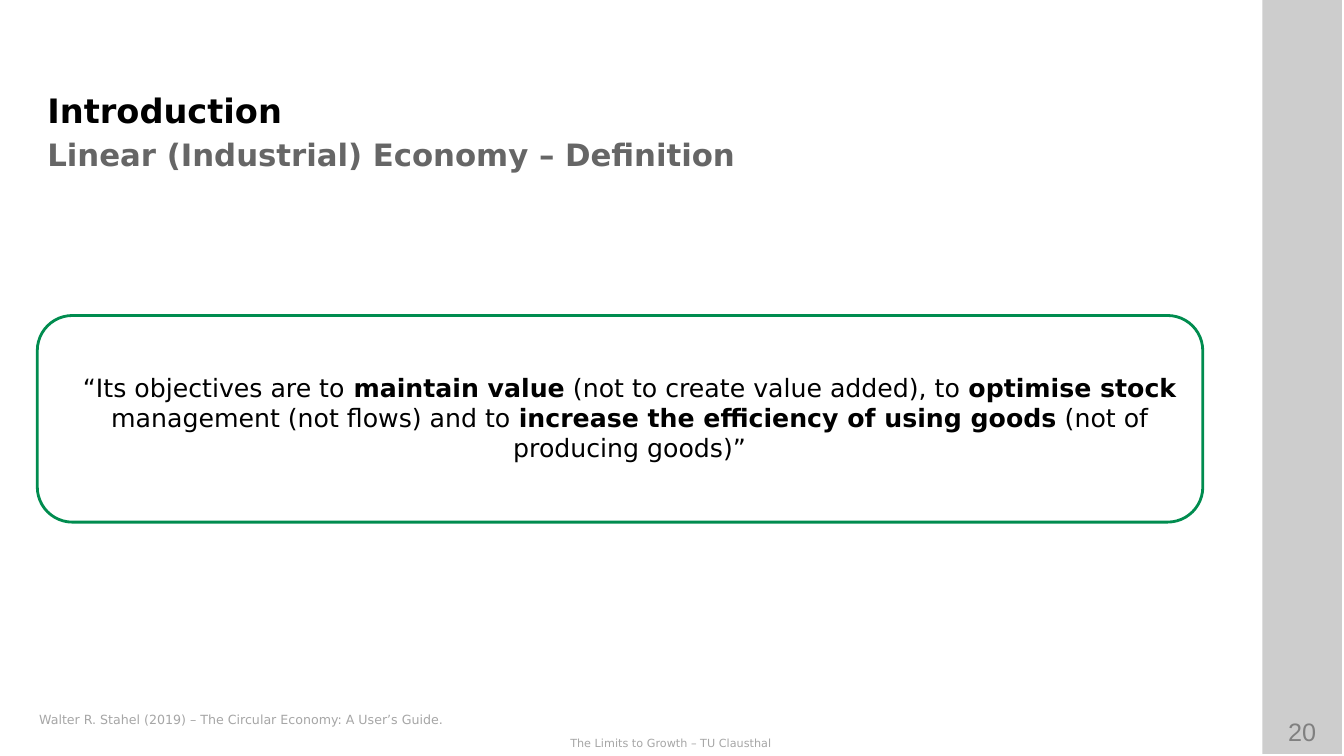
from dataclasses import dataclass

from lxml.etree import SubElement
from pptx import Presentation
from pptx.dml.color import RGBColor
from pptx.enum.shapes import MSO_SHAPE as Preset
from pptx.enum.text import MSO_ANCHOR as Anchor, PP_ALIGN as Align
from pptx.oxml.ns import qn
from pptx.util import Inches, Pt

BLACK = RGBColor(0x00, 0x00, 0x00)
WHITE = RGBColor(0xFF, 0xFF, 0xFF)
GREEN = RGBColor(0x00, 0x8C, 0x4F)
DARK_GREY = RGBColor(0x66, 0x66, 0x66)
MID_GREY = RGBColor(0x80, 0x80, 0x80)
LIGHT_GREY = RGBColor(0xA6, 0xA6, 0xA6)
BODY_FONT = "DejaVu Sans"
BAND_OPACITY = 10


@dataclass(frozen=True)
class Area:
    left: float
    top: float
    width: float
    height: float

    def lengths(self) -> list:
        return [Inches(n) for n in (self.left, self.top, self.width, self.height)]


@dataclass(frozen=True)
class Style:
    size: float
    color: RGBColor
    font: str = BODY_FONT
    bold: bool = False
    align: Align = Align.LEFT
    anchor: Anchor = Anchor.TOP
    inset_x: float = 0.1
    inset_y: float = 0.05


@dataclass(frozen=True)
class Label:
    area: Area
    text: str
    style: Style


TITLE = Label(Area(0.37, 0.84, 11.75, 0.54), "Introduction", Style(24, BLACK, bold=True))
LABELS = [
    Label(Area(12.51, 7.06, 0.81, 0.4), "20",
          Style(18, MID_GREY, font="Arial", align=Align.CENTER)),
    Label(Area(0, 7.26, 13.31, 0.23), "The Limits to Growth – TU Clausthal",
          Style(8, LIGHT_GREY, align=Align.CENTER)),
    Label(Area(0.29, 7.01, 7.07, 0.25),
          "Walter R. Stahel (2019) – The Circular Economy: A User’s Guide.",
          Style(9, LIGHT_GREY)),
    Label(Area(0.47, 1.26, 11.32, 0.53), "Linear (Industrial) Economy – Definition",
          Style(22, DARK_GREY, bold=True, anchor=Anchor.MIDDLE, inset_x=0, inset_y=0)),
]
BAND = Area(12.52, 0, 0.79, 7.48)
QUOTE_AREA = Area(0.37, 1.39, 11.75, 5.5)
QUOTE_STYLE = Style(18, BLACK, align=Align.CENTER, anchor=Anchor.MIDDLE)
QUOTE = [
    ("“Its objectives are to", False),
    (" maintain value", True),
    (" (not to create value added), to ", False),
    ("optimise stock", True),
    (" management (not flows) and to ", False),
    ("increase the efficiency of using goods", True),
    (" (not of producing goods)”", False),
]
FRAME = Area(0.37, 3.13, 11.56, 2.05)


def assign(target, values: dict) -> None:
    for name, value in values.items():
        setattr(target, name, value)


def write(box, spans: list, style: Style) -> None:
    frame = box.text_frame
    assign(frame, {
        "word_wrap": True,
        "vertical_anchor": style.anchor,
        "margin_left": Inches(style.inset_x),
        "margin_right": Inches(style.inset_x),
        "margin_top": Inches(style.inset_y),
        "margin_bottom": Inches(style.inset_y),
    })
    para = frame.paragraphs[0]
    para.alignment = style.align
    for text, bold in spans:
        span = para.add_run()
        span.text = text
        assign(span.font, {"name": style.font, "size": Pt(style.size), "bold": bold})
        span.font.color.rgb = style.color


def add_label(page, label: Label) -> None:
    box = page.shapes.add_textbox(*label.area.lengths())
    write(box, [(label.text, label.style.bold)], label.style)


def add_title(page, label: Label) -> None:
    title = page.shapes.title
    assign(title, dict(zip(("left", "top", "width", "height"), label.area.lengths())))
    write(title, [(label.text, label.style.bold)], label.style)


def add_band(page) -> None:
    band = page.shapes.add_shape(Preset.RECTANGLE, *BAND.lengths())
    band.shadow.inherit = False
    band.fill.solid()
    band.fill.fore_color.rgb = BLACK
    band.line.fill.background()
    color = band.fill._xPr.find(qn("a:solidFill"))[0]
    SubElement(color, qn("a:alpha")).set("val", str(BAND_OPACITY * 1000))


def add_outline(page, preset: Preset, area: Area, color: RGBColor, width: float):
    outline = page.shapes.add_shape(preset, *area.lengths())
    outline.shadow.inherit = False
    outline.fill.background()
    outline.line.color.rgb = color
    outline.line.width = Pt(width)
    return outline


def main() -> None:
    deck = Presentation()
    assign(deck, {"slide_width": Inches(13.33), "slide_height": Inches(7.5)})
    page = deck.slides.add_slide(deck.slide_layouts.get_by_name("Title Only"))
    for _ in range(2):
        add_band(page)
    quote = add_outline(page, Preset.RECTANGLE, QUOTE_AREA, WHITE, 0.75)
    write(quote, QUOTE, QUOTE_STYLE)
    frame = add_outline(page, Preset.ROUNDED_RECTANGLE, FRAME, GREEN, 2)
    frame.adjustments[0] = 0.17
    add_title(page, TITLE)
    for label in LABELS:
        add_label(page, label)
    deck.save("out.pptx")


if __name__ == "__main__":
    main()
